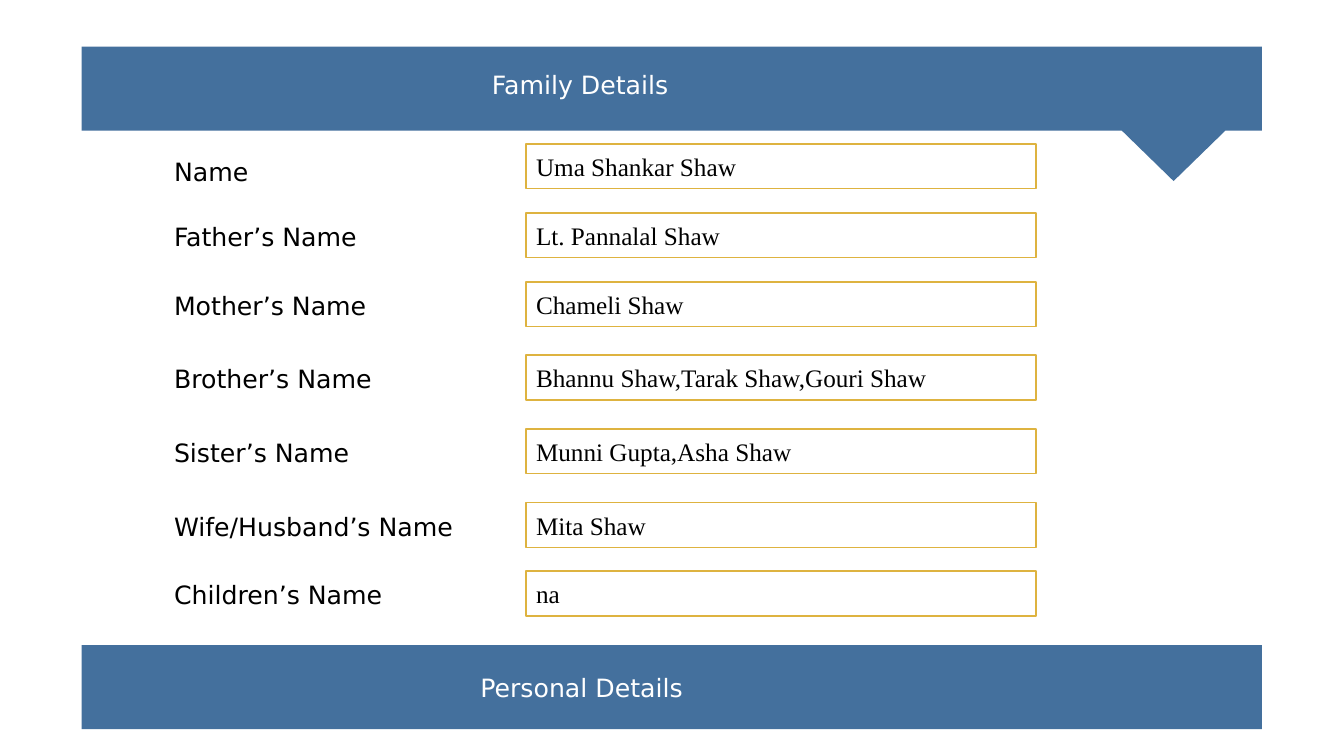
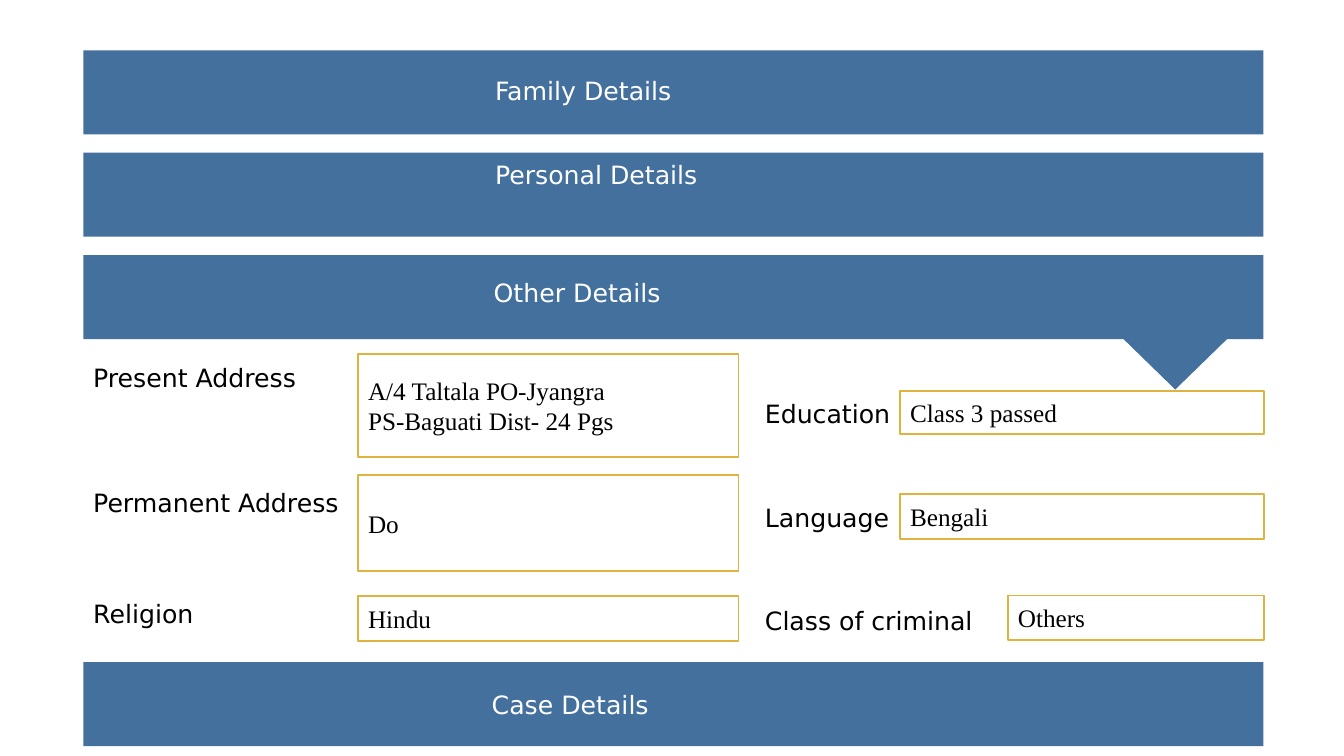
import pptx
import pptx.util
import pptx.dml.color
import pptx.enum.shapes
import pptx.enum.text

Pt = pptx.util.Pt
RGBColor = pptx.dml.color.RGBColor
RECTANGLE = pptx.enum.shapes.MSO_SHAPE.RECTANGLE
MIDDLE = pptx.enum.text.MSO_ANCHOR.MIDDLE
LEFT = pptx.enum.text.PP_ALIGN.LEFT

# Shared look
BLUE = RGBColor(0x44, 0x70, 0x9D)
GOLD = RGBColor(0xDE, 0xB3, 0x40)
WHITE = RGBColor(0xFF, 0xFF, 0xFF)
BLACK = RGBColor(0x00, 0x00, 0x00)
LABEL_FONT, FIELD_FONT = "DejaVu Sans", "Times New Roman"
TEXT_SIZE = 18
BAND_WIDTH, BAND_HEIGHT = 843, 60
TIP_X, TIP_HALF, TIP_DEPTH = 780, 37, 36
TITLE_WIDTH, TITLE_HEIGHT = 300, 32
LABEL_HEIGHT = 29
FIELD_HEIGHT = 32

# Bands: title, band top, title left, title middle, open (with pointer)
# Columns: label left, field right, rows of
#   (label, label top, field left, field top, field height, value)
NAME_LEFT = 375.8
ADDRESS_LEFT = 255.8
DETAIL_LEFT = 643
BAND_STEP = 73.1

SLIDES = [
    {
        "band_left": 58.3,
        "bands": [
            ("Family Details", 33.3, 347.8, 60.3, True),
            ("Personal Details", 460.8, 339.5, 490.9, False),
        ],
        "columns": [
            (117.2, 740.2, [
                ("Name", 108, NAME_LEFT, 102.7, FIELD_HEIGHT, "Uma Shankar Shaw"),
                ("Father’s Name", 154.6, NAME_LEFT, 152, FIELD_HEIGHT, "Lt. Pannalal Shaw"),
                ("Mother’s Name", 203.9, NAME_LEFT, 201.3, FIELD_HEIGHT, "Chameli Shaw"),
                ("Brother’s Name", 256, NAME_LEFT, 253.5, FIELD_HEIGHT,
                 "Bhannu Shaw,Tarak Shaw,Gouri Shaw"),
                ("Sister’s Name", 308.8, NAME_LEFT, 306.2, FIELD_HEIGHT, "Munni Gupta,Asha Shaw"),
                ("Wife/Husband’s Name", 361.6, NAME_LEFT, 359, FIELD_HEIGHT, "Mita Shaw"),
                ("Children’s Name", 410.2, NAME_LEFT, 407.8, FIELD_HEIGHT, "na"),
            ]),
        ],
    },
    {
        "band_left": 59.5,
        "bands": [
            ("Family Details", 36, 350, 64.4, False),
            ("Personal Details", 36 + BAND_STEP, 350, 124.9, False),
            ("Other Details", 36 + 2 * BAND_STEP, 349, 208.8, True),
            ("Case Details", 473, 347.6, 503.3, False),
        ],
        "columns": [
            (59.5, 527.5, [
                ("Present Address", 255, ADDRESS_LEFT, 253, 73.5,
                 "A/4 Taltala PO-Jyangra\nPS-Baguati Dist- 24 Pgs"),
                ("Permanent Address", 344.4, ADDRESS_LEFT, 339.3, 68.5, "Do"),
                ("Religion", 424, ADDRESS_LEFT, 425.8, FIELD_HEIGHT, "Hindu"),
            ]),
            (539.3, 903, [
                ("Education", 281.2, DETAIL_LEFT, 279.2, 31, "Class 3 passed"),
                ("Language", 355.2, DETAIL_LEFT, 353, FIELD_HEIGHT, "Bengali"),
                ("Class of criminal", 429, 720, 425.3, FIELD_HEIGHT, "Others"),
            ]),
        ],
    },
]


def write_text(shape, text, font, color):
    frame = shape.text_frame
    frame.word_wrap = True
    frame.text = text
    for para in frame.paragraphs:
        para.alignment = LEFT
        for span in para.runs:
            span.font.name = font
            span.font.size = Pt(TEXT_SIZE)
            span.font.color.rgb = color
    return frame


def add_text(page, text, left, top, width, height, color):
    box = page.shapes.add_textbox(Pt(left), Pt(top), Pt(width), Pt(height))
    return write_text(box, text, LABEL_FONT, color)


def add_band(page, left, title, top, title_left, title_middle, is_open):
    if is_open:
        right, bottom = left + BAND_WIDTH, top + BAND_HEIGHT
        tip = left + TIP_X
        corners = [
            (right, top), (right, bottom), (tip + TIP_HALF, bottom),
            (tip, bottom + TIP_DEPTH), (tip - TIP_HALF, bottom), (left, bottom),
        ]
        outline = page.shapes.build_freeform(Pt(left), Pt(top))
        outline.add_line_segments([(Pt(x), Pt(y)) for x, y in corners], close=True)
        band = outline.convert_to_shape()
    else:
        band = page.shapes.add_shape(
            RECTANGLE, Pt(left), Pt(top), Pt(BAND_WIDTH), Pt(BAND_HEIGHT))
    band.shadow.inherit = False
    band.fill.solid()
    band.fill.fore_color.rgb = BLUE
    band.line.fill.background()

    frame = add_text(page, title, title_left, title_middle - TITLE_HEIGHT / 2,
                     TITLE_WIDTH, TITLE_HEIGHT, WHITE)
    frame.margin_left = Pt(3.6)
    frame.vertical_anchor = MIDDLE


def add_field(page, left, top, width, height, value):
    field = page.shapes.add_shape(RECTANGLE, Pt(left), Pt(top), Pt(width), Pt(height))
    field.shadow.inherit = False
    field.fill.solid()
    field.fill.fore_color.rgb = WHITE
    field.line.color.rgb = GOLD
    field.line.width = Pt(1.25)
    write_text(field, value, FIELD_FONT, BLACK).vertical_anchor = MIDDLE


def main():
    deck = pptx.Presentation()
    deck.slide_width, deck.slide_height = Pt(960), Pt(540)
    for content in SLIDES:
        page = deck.slides.add_slide(deck.slide_layouts[6])
        # Section bands
        for band in content["bands"]:
            add_band(page, content["band_left"], *band)
        # Labels, each reaching to its field
        for label_left, field_right, rows in content["columns"]:
            for label, label_top, field_left, field_top, height, value in rows:
                frame = add_text(page, label, label_left, label_top,
                                 field_left - label_left, LABEL_HEIGHT, BLACK)
                frame.margin_right = 0
                add_field(page, field_left, field_top,
                          field_right - field_left, height, value)
    deck.save("out.pptx")


if __name__ == "__main__":
    main()
